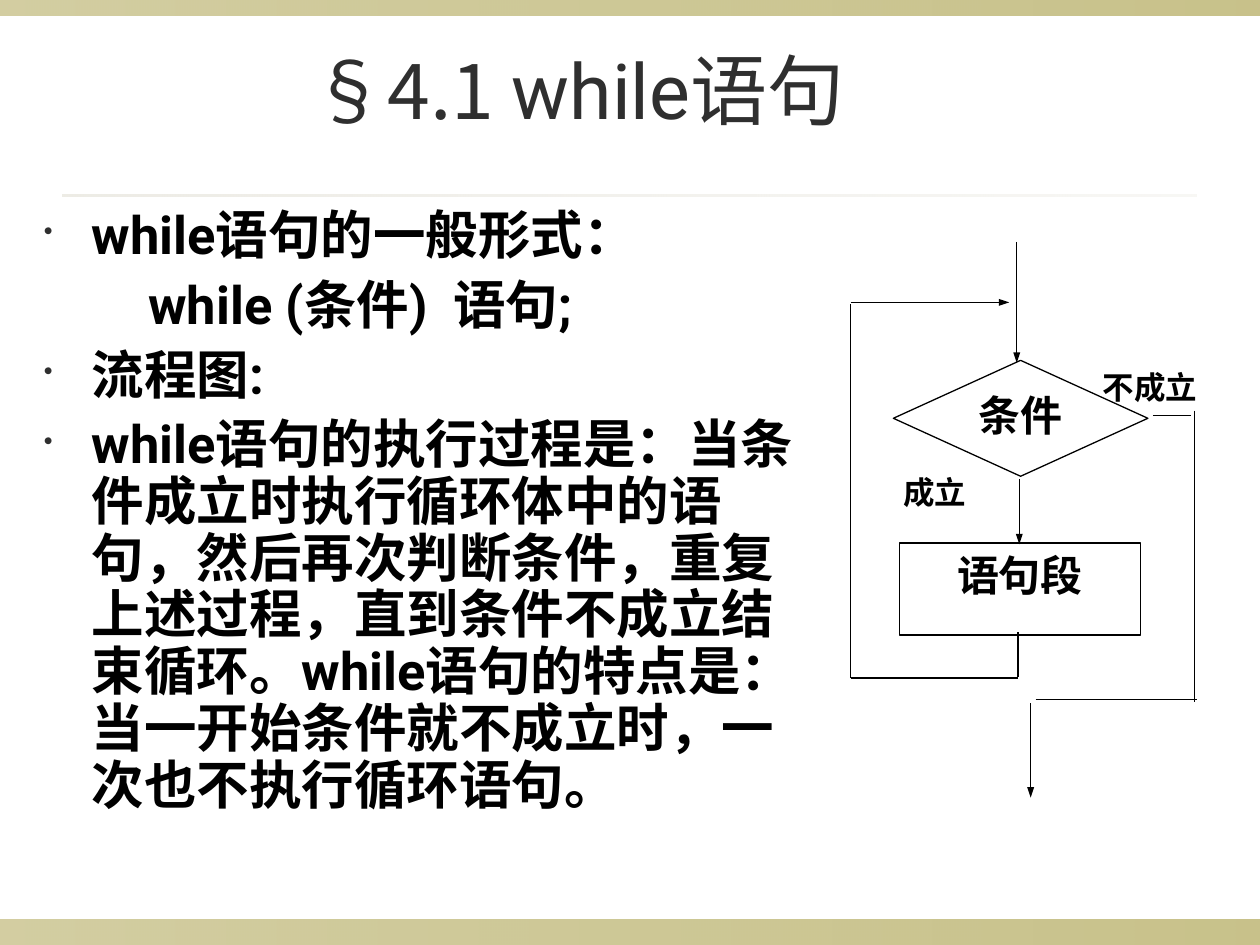
from lxml import etree
from pptx import Presentation
from pptx.dml.color import RGBColor
from pptx.enum import shapes, text
from pptx.oxml import ns
from pptx.util import Inches, Pt

COLORS = {"band": "918415", "rule": "DCD9CC", "title": "2F2F2F",
          "ink": "000000", "paper": "FFFFFF"}
ALIGN, ANCHOR = text.PP_ALIGN, text.MSO_ANCHOR
SHAPE = shapes.MSO_SHAPE

prs = Presentation()
prs.slide_width, prs.slide_height = Inches(10), Inches(7.5)
s = prs.slides.add_slide(prs.slide_layouts[6])


def rgb(name):
    return RGBColor.from_string(COLORS[name])


def write(p, content, size=18, font="Times New Roman", east="Noto Sans CJK SC",
          color="ink", bold=True, align=ALIGN.LEFT, spacing=0):
    p.alignment = align
    r = p.add_run()
    r.text = content
    r.font.size, r.font.name, r.font.bold = Pt(size), font, bold
    r.font.color.rgb = rgb(color)
    etree.SubElement(r.font._element, ns.qn("a:ea")).set("typeface", east)
    if spacing:
        r.font._element.set("spc", str(spacing * 100))


for top, left, width, height, color, alphas in [
    (7.3, 0, 10, 0.2, "band", (40, 50)),
    (0, 0, 10, 0.12, "band", (40, 50)),
    (1.54, 0.5, 9, 0.02, "rule", (50, 20)),
]:
    sp = s.shapes.add_shape(SHAPE.RECTANGLE, Inches(left), Inches(top), Inches(width), Inches(height))
    sp.shadow.inherit = False
    sp.line.fill.background()
    sp.fill.gradient()
    sp.fill.gradient_angle = 0
    for stop in sp.fill.gradient_stops:
        stop.color.rgb = rgb(color)
    for clr, alpha in zip(sp._element.spPr.iter(ns.qn("a:srgbClr")), alphas):
        etree.SubElement(clr, ns.qn("a:alpha")).set("val", str(alpha * 1000))

tf = s.shapes.add_textbox(Inches(0.75), Inches(0.08), Inches(7.67), Inches(1.25)).text_frame
tf.word_wrap = True
tf.vertical_anchor = ANCHOR.MIDDLE
for content, font in [("§4.1 ", "Noto Sans CJK SC"), ("while语句", "Roboto")]:
    write(tf.paragraphs[0], content, size=44, font=font, east=font, color="title",
          bold=False, align=ALIGN.CENTER)

tf = s.shapes.add_textbox(Inches(0.25), Inches(1.61), Inches(6.33), Inches(5.4)).text_frame
tf.word_wrap = True
for i, (runs, bulleted) in enumerate([
    ([("while语句的一般形式：", 0)], True),
    ([("while (条件)", 0), (" ", 7), ("语句;", 0)], False),
    ([("流程图:", 0)], True),
    ([("while语句的执行过程是：当条件成立时执行循环体中的语句，然后再次判断条件，"
       "重复上述过程，直到条件不成立结束循环。while语句的特点是：当一开始条件就不成立时，"
       "一次也不执行循环语句。", 0)], True),
]):
    p = tf.add_paragraph() if i else tf.paragraphs[0]
    p.line_spacing = 0.9
    p.space_before = Pt(7.5 if i else 0)
    pPr = p._p.get_or_add_pPr()
    pPr.set("marL", str(Inches(0.38 if bulleted else 0.83)))
    pPr.set("indent", str(Inches(-0.38 if bulleted else 0)))
    pPr.set("hangingPunct", "0")
    if bulleted:
        clr = etree.SubElement(pPr, ns.qn("a:buClr"))
        etree.SubElement(clr, ns.qn("a:srgbClr")).set("val", COLORS["title"])
        etree.SubElement(pPr, ns.qn("a:buSzPct")).set("val", "50000")
        etree.SubElement(pPr, ns.qn("a:buChar")).set("char", "•")
    for content, spacing in runs:
        write(p, content, size=30, font="Roboto", east="Roboto", spacing=spacing)

for kind, left, top, width, height, content, inset in [
    (SHAPE.DIAMOND, 7.09, 2.86, 2.02, 0.92, "条件", (0, 0)),
    (SHAPE.RECTANGLE, 7.14, 4.31, 1.91, 0.73, "语句段", (0.1, 0.05)),
]:
    sp = s.shapes.add_shape(kind, Inches(left), Inches(top), Inches(width), Inches(height))
    sp.shadow.inherit = False
    sp.fill.solid()
    sp.fill.fore_color.rgb = rgb("paper")
    sp.line.color.rgb = rgb("ink")
    sp.line.width = Pt(0.75)
    tf = sp.text_frame
    tf.word_wrap = True
    tf.vertical_anchor = ANCHOR.TOP
    tf.margin_left = tf.margin_right = Inches(inset[0])
    tf.margin_top = tf.margin_bottom = Inches(inset[1])
    write(tf.paragraphs[0], content, size=24, align=ALIGN.CENTER)

for x1, y1, x2, y2, arrow in [
    (8.07, 1.92, 8.07, 2.88, True),
    (9.15, 3.3, 9.45, 3.3, False),
    (8.09, 3.8, 8.09, 4.32, True),
    (8.08, 5.02, 8.08, 5.37, False),
    (8.18, 5.58, 8.18, 6.33, True),
    (8.08, 5.38, 6.75, 5.38, False),
    (6.75, 5.38, 6.75, 2.41, False),
    (6.75, 2.4, 8.01, 2.4, True),
    (9.48, 3.26, 9.48, 5.57, False),
    (8.22, 5.55, 9.5, 5.55, False),
]:
    line = s.shapes.add_connector(shapes.MSO_CONNECTOR.STRAIGHT,
                                  Inches(x1), Inches(y1), Inches(x2), Inches(y2))
    line.line.color.rgb = rgb("ink")
    line.line.width = Pt(0.75)
    if arrow:
        tail = etree.SubElement(line.line._get_or_add_ln(), ns.qn("a:tailEnd"))
        tail.set("type", "triangle")
        tail.set("w", "sm")
    etree.SubElement(line._element.spPr, ns.qn("a:effectLst"))

for left, top, width, height, content in [
    (7.17, 3.75, 0.72, 0.59, "成立"),
    (8.75, 2.92, 1.01, 0.6, "不成立"),
]:
    tf = s.shapes.add_textbox(Inches(left), Inches(top), Inches(width), Inches(height)).text_frame
    tf.word_wrap = True
    tf.margin_left = tf.margin_right = tf.margin_top = tf.margin_bottom = 0
    write(tf.paragraphs[0], content, align=ALIGN.JUSTIFY)

prs.save("out.pptx")
